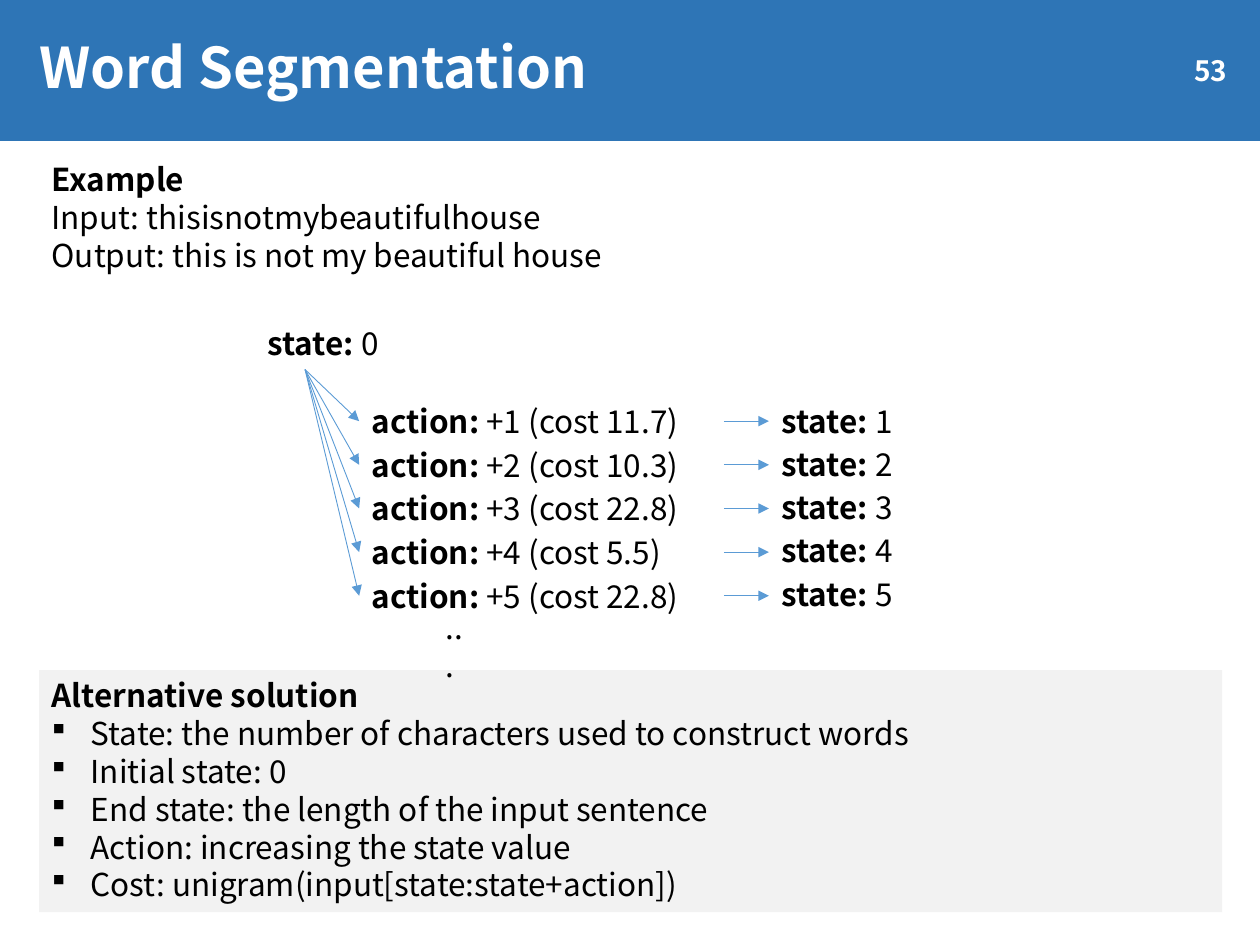
from dataclasses import dataclass

from lxml.etree import SubElement
from pptx import Presentation
from pptx.dml.color import RGBColor
from pptx.enum.shapes import MSO_CONNECTOR, MSO_SHAPE
from pptx.enum.text import MSO_ANCHOR, PP_ALIGN
from pptx.oxml.ns import qn
from pptx.util import Cm, Pt


@dataclass(frozen=True)
class Theme:
    font: str = "Noto Sans CJK KR"
    bullet_font: str = "Wingdings"
    banner: str = "2E75B6"
    panel: str = "F2F2F2"
    arrow: str = "5B9BD5"
    ink: str = "000000"
    light: str = "FFFFFF"
    title: int = 32
    number: int = 16
    body: int = 18
    line: float = 0.5


THEME = Theme()
ACTION_COSTS = ["11.7", "10.3", "22.8", "5.5", "22.8"]
SOLUTION = [
    "State: the number of characters used to construct words",
    "Initial state: 0",
    "End state: the length of the input sentence",
    "Action: increasing the state value",
    "Cost: unigram(input[state:state+action])",
]


def color(value):
    return RGBColor.from_string(value)


def add_panel(slide, box, fill):
    panel = slide.shapes.add_shape(MSO_SHAPE.RECTANGLE, *map(Cm, box))
    panel.shadow.inherit = False
    panel.fill.solid()
    panel.fill.fore_color.rgb = color(fill)
    panel.line.fill.background()
    return panel


def add_bullet(paragraph):
    properties = paragraph._p.get_or_add_pPr()
    properties.set("marL", str(Cm(0.79)))
    properties.set("indent", str(-Cm(0.79)))
    SubElement(properties, qn("a:buFont")).set("typeface", THEME.bullet_font)
    SubElement(properties, qn("a:buChar")).set("char", "§")


def write(frame, lines, size=THEME.body, ink=THEME.ink, align=PP_ALIGN.LEFT,
          anchor=MSO_ANCHOR.TOP, spacing=None, bullets_from=None):
    frame.word_wrap = True
    frame.vertical_anchor = anchor
    for index, runs in enumerate(lines):
        paragraph = frame.paragraphs[0] if index == 0 else frame.add_paragraph()
        paragraph.alignment = align
        if spacing:
            paragraph.line_spacing = spacing
        if bullets_from is not None and index >= bullets_from:
            add_bullet(paragraph)
        for text, bold in runs:
            run = paragraph.add_run()
            run.text = text
            run.font.name = THEME.font
            run.font.size = Pt(size)
            run.font.bold = bold
            run.font.color.rgb = color(ink)


def add_text(slide, box, lines):
    write(slide.shapes.add_textbox(*map(Cm, box)).text_frame, lines)


def add_arrow(slide, start, end):
    arrow = slide.shapes.add_connector(
        MSO_CONNECTOR.STRAIGHT, *map(Cm, (*start, *end)))
    arrow.line.color.rgb = color(THEME.arrow)
    arrow.line.width = Pt(THEME.line)
    SubElement(arrow.line._get_or_add_ln(), qn("a:tailEnd")).set("type", "triangle")
    SubElement(arrow._element.spPr, qn("a:effectLst"))


def add_header(slide, box, title, number):
    left, top, width, height = box
    add_panel(slide, box, THEME.banner)
    style = dict(ink=THEME.light, anchor=MSO_ANCHOR.MIDDLE)
    heading = add_panel(slide, (left + 0.55, top + 0.34, width - 0.97, height - 0.69),
                        THEME.banner)
    write(heading.text_frame, [[(title, True)]], size=THEME.title, spacing=0.9, **style)
    page = add_panel(slide, (left + width - 3.84, top + 0.91, 3.43, 1.02), THEME.banner)
    write(page.text_frame, [[(number, True)]], size=THEME.number,
          align=PP_ALIGN.RIGHT, **style)


def add_example(slide, box):
    add_text(slide, box, [
        [("Example", True)],
        [("Input: thisisnotmybeautifulhouse", False)],
        [("Output: this is not my beautiful house", False)],
    ])


def add_solution(slide, box):
    panel = add_panel(slide, box, THEME.panel)
    lines = [[("Alternative solution", True)]]
    lines += [[(item, False)] for item in SOLUTION]
    write(panel.text_frame, lines, bullets_from=1)


def add_transitions(slide, box):
    left, top, width, height = box
    row_height, state_width = 1.02, 2.8
    action_left, state_left = left + 2.1, left + width - state_width
    first_row, action_pitch, state_pitch = top + 1.58, 0.88, 0.87

    def add_state(x, y, value):
        add_text(slide, (x, y, state_width, row_height),
                 [[("state: ", True), (str(value), False)]])

    add_state(left, top, 0)
    for index, cost in enumerate(ACTION_COSTS):
        step = index + 1
        row = first_row + index * action_pitch
        middle = row + row_height / 2
        add_text(slide, (action_left, row, 6.81, row_height),
                 [[("action: ", True), (f"+{step} (cost {cost})", False)]])
        add_state(state_left, first_row + index * state_pitch, step)
        add_arrow(slide, (left + 1.01, top + 1.05), (action_left, middle))
        add_arrow(slide, (state_left - 0.91, middle), (state_left, middle))
    add_text(slide, (left + 3.6, top + height - row_height, 0.94, row_height),
             [[("...", False)]])


def main():
    deck = Presentation()
    deck.slide_width, deck.slide_height = Cm(25.4), Cm(19.05)
    slide = deck.slides.add_slide(deck.slide_layouts[6])
    add_header(slide, (0, 0, 25.4, 2.84), "Word Segmentation", "53")
    add_solution(slide, (0.79, 13.51, 23.85, 4.88))
    add_example(slide, (0.79, 3.1, 24.41, 2.57))
    add_transitions(slide, (5.14, 6.4, 13.16, 6.76))
    deck.save("out.pptx")


if __name__ == "__main__":
    main()
